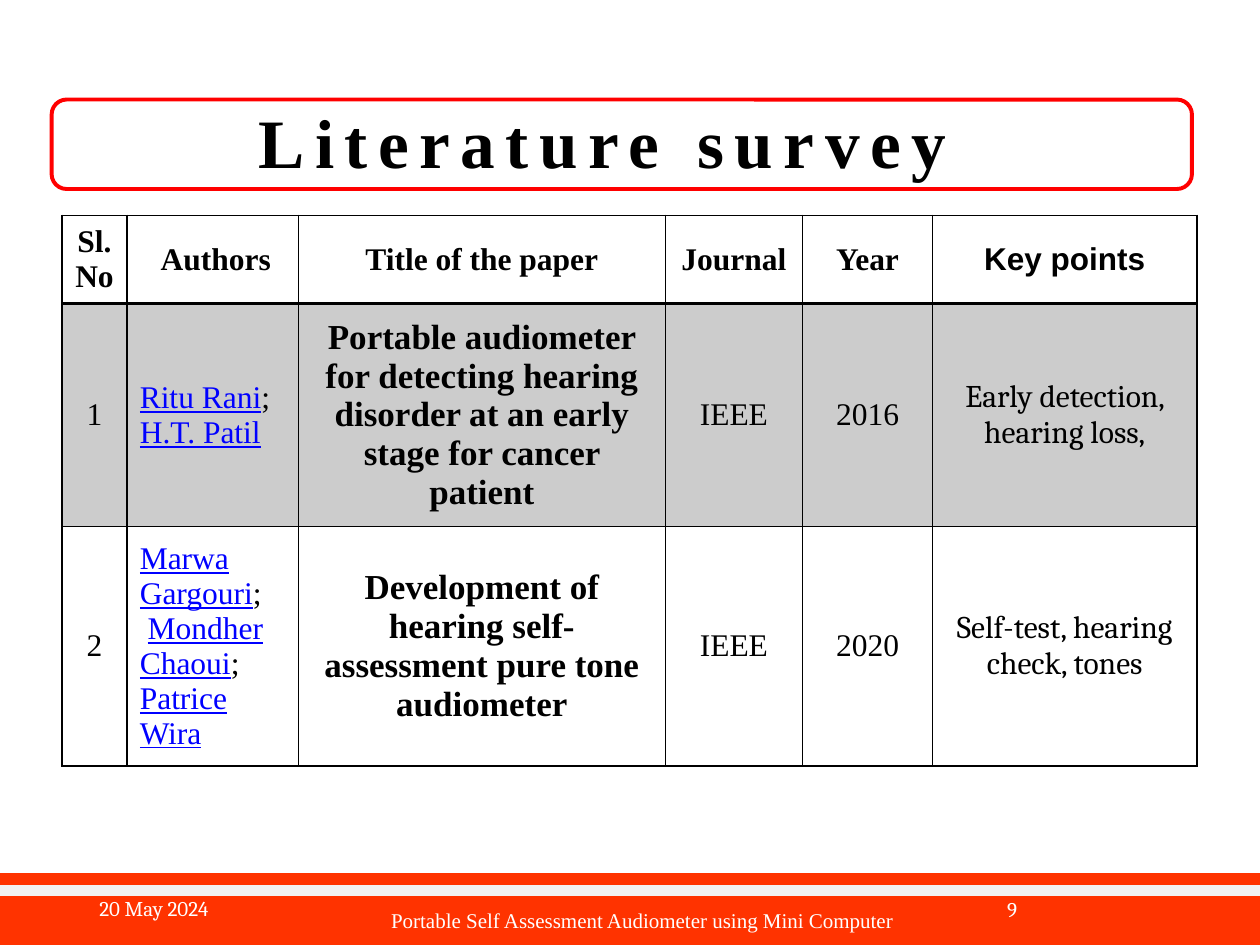
from lxml.etree import SubElement
from pptx import Presentation
from pptx.dml.color import RGBColor
from pptx.enum.shapes import MSO_CONNECTOR, MSO_SHAPE
from pptx.enum.text import MSO_ANCHOR, PP_ALIGN
from pptx.oxml.ns import qn
from pptx.util import Pt

SERIF, SANS, BOOK = "Times New Roman", "Arial", "Cambria"
BLACK, WHITE, RED, FLAME = "000000", "FFFFFF", "FF0000", "FF3300"
PALE, BLUE = "F2F2F2", "0000FF"
LEFT, MID, RIGHT = PP_ALIGN.LEFT, PP_ALIGN.CENTER, PP_ALIGN.RIGHT

HEAD = dict(bold=True)
PLAIN = {}
PAPER = dict(size=Pt(20), bold=True)
KEY = dict(name=BOOK)
NOTE = dict(name=BOOK, size=Pt(12), color=WHITE)

WIDTHS = [37.4, 97.9, 209.6, 78.5, 74.2, 151.2]
HEIGHTS = [50.4, 108, 121.7]
TITLES = ["Sl.\nNo", " Authors", "Title of the paper", "Journal", "Year", "Key points"]
STUDIES = [
    ["1", "Ritu Rani;\nH.T. Patil",
     "Portable audiometer for detecting hearing disorder at an early stage for cancer patient",
     "IEEE", "2016", "Early detection, hearing loss,"],
    ["2", "Marwa Gargouri;\n Mondher Chaoui;\nPatrice Wira",
     "Development of hearing self-assessment pure tone audiometer",
     "IEEE", "2020", "Self-test, hearing check, tones"],
]
FORMATS = [PLAIN, PLAIN, PAPER, PLAIN, PLAIN, KEY]


def paint(target, color):
    target.rgb = RGBColor.from_string(color)


class Deck:
    def __init__(self, width, height):
        self.base = dict(name=SERIF, size=Pt(18), color=BLACK)
        self.file = Presentation()
        self.file.slide_width, self.file.slide_height = Pt(width), Pt(height)
        self.slide = self.file.slides.add_slide(self.file.slide_layouts[6])

    def style(self, font, **look):
        for key, value in {**self.base, **look}.items():
            if key == "color":
                paint(font.color, value)
            else:
                setattr(font, key, value)

    def run(self, para, text, **look):
        run = para.add_run()
        run.text = text
        self.style(run.font, **look)
        return run

    def lines(self, frame, text, align):
        """Yield each line of text with its paragraph."""
        for i, line in enumerate(text.split("\n")):
            para = frame.add_paragraph() if i else frame.paragraphs[0]
            para.alignment = align
            yield para, line

    def box(self, kind, *place, fill, line=None):
        shape = self.slide.shapes.add_shape(kind, *map(Pt, place))
        shape.shadow.inherit = False
        shape.fill.solid()
        paint(shape.fill.fore_color, fill)
        if line:
            paint(shape.line.color, line)
            shape.line.width = Pt(2.25)
        else:
            shape.line.fill.background()

    def rule(self, *ends, color, width):
        rule = self.slide.shapes.add_connector(MSO_CONNECTOR.STRAIGHT, *map(Pt, ends))
        paint(rule.line.color, color)
        rule.line.width = Pt(width)
        SubElement(rule._element.spPr, qn("a:effectLst"))

    def text(self, text, *place, align=MID, space=0, lead=None, **look):
        frame = self.slide.shapes.add_textbox(*map(Pt, place)).text_frame
        frame.word_wrap = True
        frame.vertical_anchor = MSO_ANCHOR.MIDDLE
        para = frame.paragraphs[0]
        para.alignment, para.line_spacing = align, lead
        run = self.run(para, text, **look)
        if space:
            run.font._element.set("spc", str(space * 100))

    def table(self, left, top, widths, heights):
        size = map(Pt, (left, top, sum(widths), sum(heights)))
        table = self.slide.shapes.add_table(len(heights), len(widths), *size).table
        table.first_row = table.horz_banding = False
        for col, width in zip(table.columns, widths):
            col.width = Pt(width)
        for row, height in zip(table.rows, heights):
            row.height = Pt(height)
        return table

    def edge(self, cell, **widths):
        for side, width in widths.items():
            line = SubElement(cell._tc.get_or_add_tcPr(), qn(f"a:ln{side}"), w=str(Pt(width)))
            SubElement(SubElement(line, qn("a:solidFill")), qn("a:srgbClr"), val=BLACK)

    def cell(self, cell, text, shade=False, align=MID, names=False, **look):
        cell.vertical_anchor = MSO_ANCHOR.MIDDLE
        if shade:
            cell.fill.solid()
            paint(cell.fill.fore_color, BLACK)
            color = cell._tc.tcPr.find(f".//{qn('a:srgbClr')}[last()]")
            color = cell._tc.tcPr.find(qn("a:solidFill")).find(qn("a:srgbClr"))
            SubElement(color, qn("a:alpha"), val="20000")
        else:
            cell.fill.background()
        for para, line in self.lines(cell.text_frame, text, align):
            if names:
                self.names(para, line)
            else:
                self.run(para, line, **look)

    def names(self, para, line):
        """Underline an author's name, but not the space or mark around it."""
        name = line.strip(" ;")
        before, after = line.split(name)
        if before:
            self.run(para, before)
        self.run(para, name, color=BLUE, underline=True)
        if after:
            self.run(para, after)


def main():
    deck = Deck(720, 540)
    deck.box(MSO_SHAPE.RECTANGLE, -1.4, 499, 721.4, 41, fill=FLAME)
    deck.rule(-1.4, 509, 720, 509, color=PALE, width=6)
    deck.box(MSO_SHAPE.ROUNDED_RECTANGLE, 29.5, 56.9, 651.6, 51.1, fill=WHITE, line=RED)
    deck.text("Literature survey", 7.9, 58.3, 673.2, 50.4,
              space=6, lead=0.9, size=Pt(39.6), bold=True)
    deck.text("Portable Self Assessment Audiometer using Mini Computer",
              172, 505.4, 390.2, 40.3, size=Pt(12), color=WHITE)

    table = deck.table(35.3, 123.1, WIDTHS, HEIGHTS)
    for r, row in enumerate([TITLES, *STUDIES]):
        for c, text in enumerate(row):
            cell = table.cell(r, c)
            deck.edge(cell, L=1, R=1, T=2 if r == 1 else 1, B=1 if r else 2)
            if r == 0:
                deck.cell(cell, text, **HEAD, name=SANS if c == 5 else SERIF)
            else:
                deck.cell(cell, text, shade=r == 1, align=LEFT if c == 1 else MID,
                          names=c == 1, **FORMATS[c])

    deck.text("9", 508.3, 509, 79.9, 20.9, align=RIGHT, **NOTE)
    deck.text("20 May 2024", 49.7, 509, 162, 20.2, align=LEFT, **NOTE)
    deck.file.save("out.pptx")


if __name__ == "__main__":
    main()
